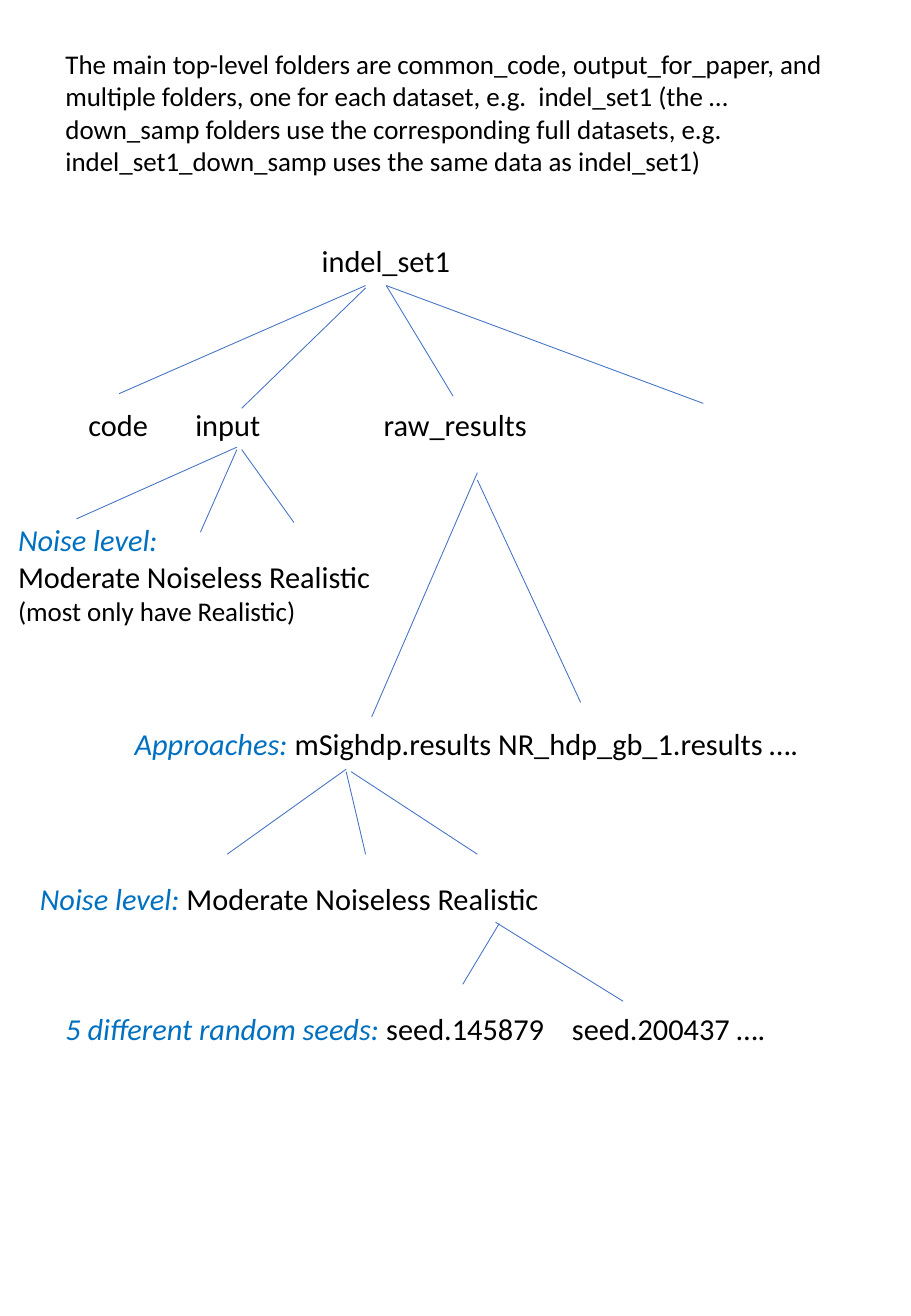
from lxml.etree import SubElement
from pptx import Presentation
from pptx.dml.color import RGBColor
from pptx.enum.shapes import MSO_CONNECTOR
from pptx.enum.text import MSO_AUTO_SIZE
from pptx.oxml.ns import qn
from pptx.util import Pt

PX = 9144  # 100 px to the inch
BLACK, LABEL_BLUE, LINE_BLUE = "000000", "0070C0", "4472C4"

presentation = Presentation()
presentation.slide_width, presentation.slide_height = 750 * PX, 1083 * PX
slide = presentation.slides.add_slide(presentation.slide_layouts[6])


def add_text(lines, left, top, width, height=40, wrap=False, tabs=()):
    """Add a text box; each line is a list of (text, size, is_label) runs."""
    box = slide.shapes.add_textbox(left * PX, top * PX, width * PX, height * PX)
    frame = box.text_frame
    frame.word_wrap = wrap
    frame.auto_size = MSO_AUTO_SIZE.SHAPE_TO_FIT_TEXT
    for index, line in enumerate(lines):
        paragraph = frame.add_paragraph() if index else frame.paragraphs[0]
        if tabs:
            tab_list = SubElement(paragraph._p.get_or_add_pPr(), qn("a:tabLst"))
            for position in tabs:
                SubElement(tab_list, qn("a:tab"), pos=str(position * PX), algn="l")
        for text, size, is_label in line:
            run = paragraph.add_run()
            run.text = text
            run.font.name = "Calibri"
            run.font.size = Pt(size)
            run.font.italic = is_label
            run.font.color.rgb = RGBColor.from_string(LABEL_BLUE if is_label else BLACK)


introduction = (
    "The main top-level folders are common_code, output_for_paper, and multiple folders, "
    "one for each dataset, e.g.  indel_set1 (the …down_samp folders use the corresponding "
    "full datasets, e.g. indel_set1_down_samp uses the same data as indel_set1)"
)
noise_levels = ("Moderate Noiseless Realistic", 18, False)

add_text([[(introduction, 16, False)]], 44, 34, 645, 118, wrap=True)
add_text([[("indel_set1", 18, False)]], 255, 194, 127)
add_text([[("code\tinput\traw_results", 18, False)]], 63, 329, 400, tabs=(88, 243))
add_text(
    [[("Noise level:", 18, True)], [noise_levels], [("(most only have Realistic)", 16, False)]],
    5, 424, 312, 101,
)
add_text(
    [[("Approaches: ", 18, True), ("mSighdp.results NR_hdp_gb_1.results ….", 18, False)]],
    101, 592, 574,
)
add_text([[("Noise level: ", 18, True), noise_levels]], 23, 719, 438)
add_text(
    [[("5 different random seeds: ", 18, True), ("seed.145879\tseed.200437 ….", 18, False)]],
    44, 826, 601, tabs=(417,),
)

# Each branch: start x, start y, end x, end y
branches = [
    # from indel_set1
    (301, 235, 98, 324), (301, 237, 199, 336), (318, 235, 579, 332), (318, 235, 373, 326),
    # from input
    (195, 368, 63, 427), (195, 370, 165, 438), (199, 370, 242, 430),
    # from raw_results
    (393, 389, 306, 590), (393, 395, 478, 578),
    # from mSighdp.results
    (285, 633, 187, 703), (285, 635, 301, 703), (289, 635, 393, 703),
    # from Realistic
    (411, 760, 381, 810), (408, 759, 513, 824),
]
for branch in branches:
    connector = slide.shapes.add_connector(
        MSO_CONNECTOR.STRAIGHT, *(value * PX for value in branch)
    )
    connector.line.color.rgb = RGBColor.from_string(LINE_BLUE)
    connector.line.width = Pt(0.5)
    SubElement(connector._element.spPr, qn("a:effectLst"))

presentation.save("out.pptx")
